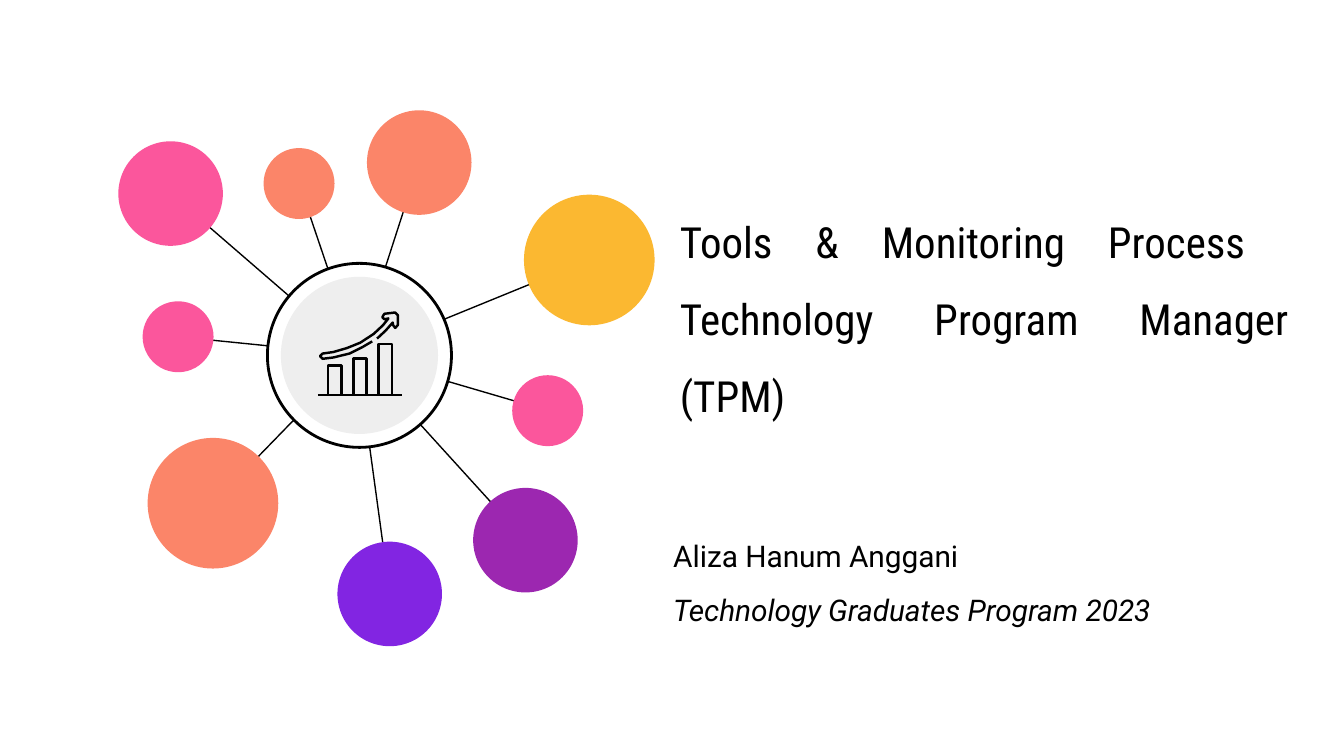
import pptx
import pptx.dml.color
import pptx.enum.shapes
import pptx.enum.text
import pptx.util
from lxml import etree

Pt = pptx.util.Pt
SHAPES = pptx.enum.shapes.MSO_SHAPE
ALIGN = pptx.enum.text.PP_ALIGN
DRAWING_NS = "http://schemas.openxmlformats.org/drawingml/2006/main"
BLACK = "000000"


def paint(shape, fill=None, line=None, width=0.75):
    """Set fill and outline from hex strings; None leaves the part empty."""
    shape.shadow.inherit = False
    for part, colour in ((shape.fill, fill), (shape.line.fill, line)):
        if colour:
            part.solid()
            part.fore_color.rgb = pptx.dml.color.RGBColor.from_string(colour)
        else:
            part.background()
    if line:
        shape.line.width = Pt(width)


def add_line(start, end, width):
    line = slide.shapes.add_connector(
        pptx.enum.shapes.MSO_CONNECTOR.STRAIGHT, *map(Pt, start + end))
    line.line.color.rgb = pptx.dml.color.RGBColor.from_string(BLACK)
    line.line.width = Pt(width)
    etree.SubElement(line._element.spPr, "{%s}effectLst" % DRAWING_NS)


deck = pptx.Presentation()
deck.slide_width, deck.slide_height = Pt(720), Pt(405)
slide = deck.slides.add_slide(deck.slide_layouts[6])

# Title and presenter: each run is (text, italic); a vertical tab breaks the line
text_blocks = [
    ((357.1, 64.8, 340.6, 198), "Roboto Condensed", 23, ALIGN.JUSTIFY,
     [("Tools & Monitoring Process \vTechnology Program Manager (TPM)", None)]),
    ((353.5, 290.9, 310.3, 33.1), "Roboto", 16, ALIGN.LEFT,
     [("Aliza Hanum Anggani", None), ("Technology Graduates Program 2023", True)]),
]
for box, font_name, size, alignment, paragraphs in text_blocks:
    frame = slide.shapes.add_textbox(*map(Pt, box)).text_frame
    frame.word_wrap = True
    frame.vertical_anchor = pptx.enum.text.MSO_ANCHOR.MIDDLE
    frame.margin_left = frame.margin_right = Pt(7.2)
    frame.margin_top = frame.margin_bottom = Pt(7.2)
    for index, (text, italic) in enumerate(paragraphs):
        paragraph = frame.add_paragraph() if index else frame.paragraphs[0]
        paragraph.alignment = alignment
        paragraph.line_spacing = 1.5
        for part_index, part in enumerate(text.split("\v")):
            if part_index:
                paragraph.add_line_break()
            run = paragraph.add_run()
            run.text = part
            run.font.name = font_name
            run.font.size = Pt(size)
            run.font.italic = italic
            run.font.color.rgb = pptx.dml.color.RGBColor.from_string(BLACK)

# Spokes from the satellites to the hub: centre x, centre y, diameter, colour
spoke_end = (191.3, 190.1)
satellites = [
    (315.7, 139.3, 70, "FBB831"),
    (114.1, 269.6, 70, "FB8569"),
    (224.6, 87.1, 56, "FB8569"),
    (91.4, 103.7, 56, "FB569C"),
    (281.5, 289.4, 56, "9C27B0"),
    (208.8, 318.2, 56, "8225E2"),
    (95.4, 180.4, 38, "FB569C"),
    (293.4, 220, 38, "FB569C"),
    (160.2, 98.3, 38, "FB8569"),
]
for x, y, _, _ in satellites:
    add_line((x, y), spoke_end, 0.75)

hub_rings = [(192.6, 190.4, 98.6, "FFFFFF", BLACK),
             (192.6, 190.4, 84.2, "EEEEEE", None)]
for x, y, diameter, fill, outline in [(*s, None) for s in satellites] + hub_rings:
    circle = slide.shapes.add_shape(
        SHAPES.OVAL, Pt(x - diameter / 2), Pt(y - diameter / 2), Pt(diameter), Pt(diameter))
    paint(circle, fill, outline, 1.5)

# Growth icon: three bars on a baseline, under a rising arrow
baseline = 211.7
for index, bar_top in enumerate((195.8, 192.2, 184.3)):
    bar = slide.shapes.add_shape(
        SHAPES.RECTANGLE, Pt(175.7 + 13.6 * index), Pt(bar_top), Pt(7.2), Pt(baseline - bar_top))
    paint(bar, line=BLACK, width=1.3)
add_line((170.3, baseline), (215.3, baseline), 1.3)

# Arrow outline in tenths of a point
arrow_points = [
    (1994, 1829), (1944, 1858), (1872, 1894), (1786, 1915), (1728, 1922), (1714, 1908),
    (1728, 1894), (1786, 1886), (1858, 1865), (1930, 1836), (2002, 1789), (2052, 1742),
    (2081, 1706), (2059, 1710), (2048, 1699), (2059, 1681), (2117, 1674), (2131, 1688),
    (2131, 1742), (2117, 1757), (2106, 1742), (2104, 1728), (2066, 1771), (2020, 1814),
]
outline = slide.shapes.build_freeform(*arrow_points[0], scale=Pt(0.1))
outline.add_line_segments(arrow_points[1:], close=False)
paint(outline.convert_to_shape(), line=BLACK, width=1.3)

deck.save("out.pptx")
